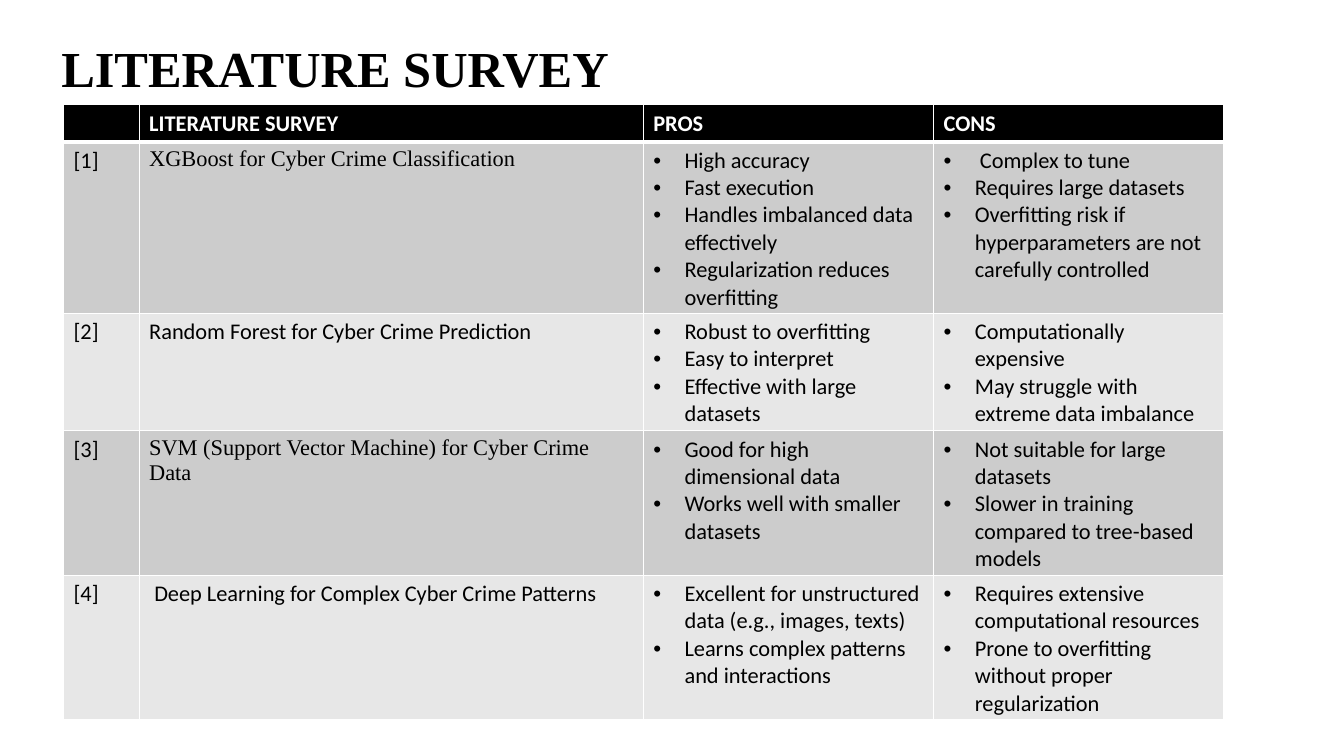
import pptx
import pptx.dml.color
import pptx.enum.text
import pptx.oxml
import pptx.oxml.ns
import pptx.util
from pptx.util import Inches

BLACK, WHITE = "000000", "FFFFFF"
BANDS = ("CCCCCC", "E7E7E7")
SANS, SERIF = "Calibri", "Times New Roman"
COLUMN_WIDTHS = (0.75, 5, 2.88, 2.88)
ROW_HEIGHTS = (0.35, 1.64, 1.13, 1.39, 1.29)
HEADINGS = ("", "LITERATURE SURVEY", "PROS", "CONS")
SURVEY = [
    ("XGBoost for Cyber Crime Classification", SERIF,
     ["High accuracy", "Fast execution", "Handles imbalanced data effectively",
      "Regularization reduces overfitting"],
     [" Complex to tune", "Requires large datasets",
      "Overfitting risk if hyperparameters are not carefully controlled"]),
    ("Random Forest for Cyber Crime Prediction", SANS,
     ["Robust to overfitting", "Easy to interpret", "Effective with large datasets"],
     ["Computationally expensive", "May struggle with extreme data imbalance"]),
    ("SVM (Support Vector Machine) for Cyber Crime Data", SERIF,
     ["Good for high dimensional data", "Works well with smaller datasets"],
     ["Not suitable for large datasets",
      "Slower in training compared to tree-based models"]),
    (" Deep Learning for Complex Cyber Crime Patterns", SANS,
     ["Excellent for unstructured data (e.g., images, texts)",
      "Learns complex patterns and interactions"],
     ["Requires extensive computational resources",
      "Prone to overfitting without proper regularization"]),
]


def rgb(code):
    return pptx.dml.color.RGBColor.from_string(code)


def add_xml(parent, markup):
    """Append an element written with the a: prefix."""
    tag, rest = markup.split(" ", 1)
    declared = f"{tag} {pptx.oxml.ns.nsdecls('a')} {rest}"
    parent.append(pptx.oxml.parse_xml(declared))


class SurveySlide:
    def __init__(self, slide):
        self.slide = slide
        self.text_size = 16
        self.bullet_indent = Inches(0.31)

    def add_text(self, paragraph, text, font=SANS, size=None, color=BLACK, bold=False):
        size = size or self.text_size
        if not text:
            add_xml(paragraph._p, f'<a:endParaRPr sz="{size * 100}"/>')
            return
        run = paragraph.add_run()
        run.text = text
        style = {"name": font, "size": pptx.util.Pt(size), "bold": bold}
        for attribute, value in style.items():
            setattr(run.font, attribute, value)
        run.font.color.rgb = rgb(color)

    def title(self, text, left, top, width, height):
        box = self.slide.shapes.add_textbox(
            Inches(left), Inches(top), Inches(width), Inches(height))
        frame = box.text_frame
        frame.word_wrap = True
        frame.vertical_anchor = pptx.enum.text.MSO_ANCHOR.MIDDLE
        frame.paragraphs[0].line_spacing = 0.9
        self.add_text(frame.paragraphs[0], text, SERIF, 36, bold=True)

    def table(self, left, top):
        grid = self.slide.shapes.add_table(
            len(ROW_HEIGHTS), len(COLUMN_WIDTHS), Inches(left), Inches(top),
            Inches(sum(COLUMN_WIDTHS)), Inches(sum(ROW_HEIGHTS))).table
        for column, width in zip(grid.columns, COLUMN_WIDTHS):
            column.width = Inches(width)
        for row, height in zip(grid.rows, ROW_HEIGHTS):
            row.height = Inches(height)
        return grid

    def cell(self, cell, lines, fill, top=1, bottom=1, bulleted=False, **style):
        properties = cell._tc.get_or_add_tcPr()
        for side, points in {"L": 1, "R": 1, "T": top, "B": bottom}.items():
            add_xml(properties,
                    f'<a:ln{side} w="{points * 12700}"><a:solidFill>'
                    f'<a:srgbClr val="{WHITE}"/></a:solidFill></a:ln{side}>')
        cell.fill.solid()
        cell.fill.fore_color.rgb = rgb(fill)
        frame = cell.text_frame
        for index, line in enumerate(lines):
            paragraph = frame.add_paragraph() if index else frame.paragraphs[0]
            if bulleted:
                self.bullet(paragraph)
            self.add_text(paragraph, line, **style)

    def bullet(self, paragraph):
        properties = paragraph._p.get_or_add_pPr()
        properties.set("marL", str(self.bullet_indent))
        properties.set("indent", str(-self.bullet_indent))
        add_xml(properties, '<a:buFont typeface="Arial"/>')
        add_xml(properties, '<a:buChar char="•"/>')


def main():
    deck = pptx.Presentation()
    deck.slide_width, deck.slide_height = Inches(13.33), Inches(7.5)
    page = SurveySlide(deck.slides.add_slide(deck.slide_layouts[6]))
    page.title("LITERATURE SURVEY", 0.51, 0.37, 11.5, 0.67)
    grid = page.table(0.63, 1.04)
    for column, heading in enumerate(HEADINGS):
        page.cell(grid.cell(0, column), [heading], BLACK, bottom=3,
                  color=WHITE, bold=True)
    for row, (method, font, pros, cons) in enumerate(SURVEY, 1):
        band = BANDS[(row - 1) % 2]
        top = 3 if row == 1 else 1
        page.cell(grid.cell(row, 0), [f"[{row}]"], band, top)
        page.cell(grid.cell(row, 1), [method], band, top, font=font)
        for column, points in enumerate((pros, cons), 2):
            page.cell(grid.cell(row, column), points, band, top, bulleted=True)
    deck.save("out.pptx")


if __name__ == "__main__":
    main()
